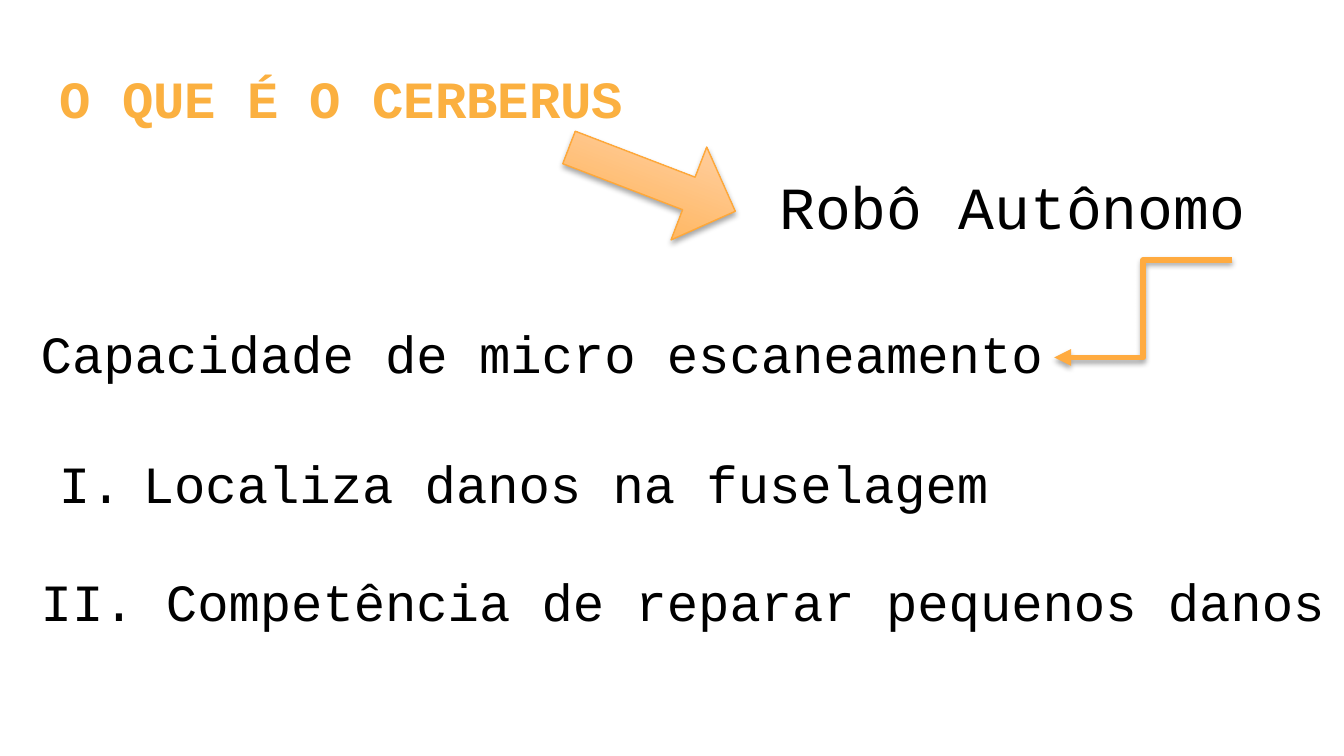
from dataclasses import dataclass, field

import lxml.etree
import pptx
import pptx.dml.color
import pptx.enum.shapes
import pptx.enum.text
import pptx.oxml.ns
import pptx.util

EMU_PER_PX = 4572  # 200 px to the inch


@dataclass(frozen=True)
class Theme:
    font: str = "Courier New"
    heading: str = "FBB040"
    ink: str = "000000"
    accent: str = "FFAB40"
    accent_light: str = "FFDAC0"
    arrow_edge: str = "FEA83A"
    body_pt: int = 28
    robot_pt: int = 32


@dataclass(frozen=True)
class Statement:
    text: str
    left: int
    top: int
    width: int
    height: int
    size: int
    color: str
    bold: bool = False
    hanging: int = 0
    frame: dict = field(default_factory=dict)
    paragraph: dict = field(default_factory=dict)


THEME = Theme()


def px(length: int) -> int:
    return length * EMU_PER_PX


def rgb(code: str) -> pptx.dml.color.RGBColor:
    return pptx.dml.color.RGBColor.from_string(code)


def apply(target, values: dict) -> None:
    for name, value in values.items():
        setattr(target, name, value)


def add_node(parent, tag: str, **attributes):
    node = lxml.etree.SubElement(parent, pptx.oxml.ns.qn(tag))
    for name, value in attributes.items():
        node.set(name, str(value))
    return node


def cast_shadow(shape) -> None:
    """Soft shadow below the shape; call after its line is set."""
    effects = add_node(shape._element.spPr, "a:effectLst")
    shadow = add_node(effects, "a:outerShdw", blurRad=pptx.util.Pt(3.1),
                      dist=pptx.util.Pt(1.8), dir=90 * 60000, rotWithShape=0)
    add_node(add_node(shadow, "a:srgbClr", val="000000"), "a:alpha", val=35000)


def number_with_roman(paragraph, hanging: int) -> None:
    properties = paragraph._p.get_or_add_pPr()
    properties.set("marL", str(px(hanging)))
    properties.set("indent", str(-px(hanging)))
    add_node(add_node(properties, "a:buClr"), "a:srgbClr", val=THEME.ink)
    add_node(properties, "a:buAutoNum", type="romanUcPeriod")


def draw_statement(slide, statement: Statement) -> None:
    box = slide.shapes.add_textbox(px(statement.left), px(statement.top),
                                   px(statement.width), px(statement.height))
    frame = box.text_frame
    apply(frame, {"word_wrap": True,
                  "auto_size": pptx.enum.text.MSO_AUTO_SIZE.SHAPE_TO_FIT_TEXT,
                  **statement.frame})
    paragraph = frame.paragraphs[0]
    apply(paragraph, statement.paragraph)
    if statement.hanging:
        number_with_roman(paragraph, statement.hanging)
    run = paragraph.add_run()
    run.text = statement.text
    apply(run.font, {"name": THEME.font, "size": pptx.util.Pt(statement.size),
                     "bold": statement.bold})
    run.font.color.rgb = rgb(statement.color)


def draw_block_arrow(slide) -> None:
    arrow = slide.shapes.add_shape(pptx.enum.shapes.MSO_SHAPE.RIGHT_ARROW,
                                   px(838), px(193), px(265), px(148))
    arrow.rotation = 21
    arrow.adjustments[0] = 0.35
    arrow.adjustments[1] = 0.5
    arrow.fill.gradient()
    arrow.fill.gradient_angle = 90
    for stop, color, position in zip(arrow.fill.gradient_stops,
                                     (THEME.accent, THEME.accent_light), (0, 1)):
        apply(stop, {"position": position})
        stop.color.rgb = rgb(color)
    arrow.line.color.rgb = rgb(THEME.arrow_edge)
    arrow.line.width = pptx.util.Pt(0.75)
    cast_shadow(arrow)


def draw_elbow_arrow(slide) -> None:
    elbow = slide.shapes.add_connector(pptx.enum.shapes.MSO_CONNECTOR.ELBOW,
                                       px(1834), px(387), px(1569), px(532))
    elbow.line.color.rgb = rgb(THEME.accent)
    elbow.line.width = pptx.util.Pt(3)
    add_node(elbow.line._get_or_add_ln(), "a:tailEnd", type="triangle")
    cast_shadow(elbow)


HEADING_FRAME = {
    "word_wrap": False,
    "auto_size": pptx.enum.text.MSO_AUTO_SIZE.NONE,
    "margin_top": px(20),
    "margin_bottom": px(20),
}
CENTERED = {"alignment": pptx.enum.text.PP_ALIGN.CENTER}
STATEMENTS = (
    Statement("O QUE É O CERBERUS", 68, 78, 880, 126, THEME.body_pt,
              THEME.heading, bold=True, frame=HEADING_FRAME, paragraph=CENTERED),
    Statement("Robô Autônomo", 1140, 243, 806, 128, THEME.robot_pt, THEME.ink),
    Statement("Capacidade de micro escaneamento", 41, 468, 1554, 114,
              THEME.body_pt, THEME.ink),
    Statement("Localiza danos na fuselagem", 68, 662, 1672, 114,
              THEME.body_pt, THEME.ink, hanging=125),
    Statement("II. Competência de reparar pequenos danos", 41, 838, 1974, 114,
              THEME.body_pt, THEME.ink),
)


def main() -> None:
    deck = pptx.Presentation()
    apply(deck, {"slide_width": px(2000), "slide_height": px(1125)})
    slide = deck.slides.add_slide(deck.slide_layouts[6])
    for statement in STATEMENTS:
        draw_statement(slide, statement)
    draw_block_arrow(slide)
    draw_elbow_arrow(slide)
    deck.save("out.pptx")


if __name__ == "__main__":
    main()
